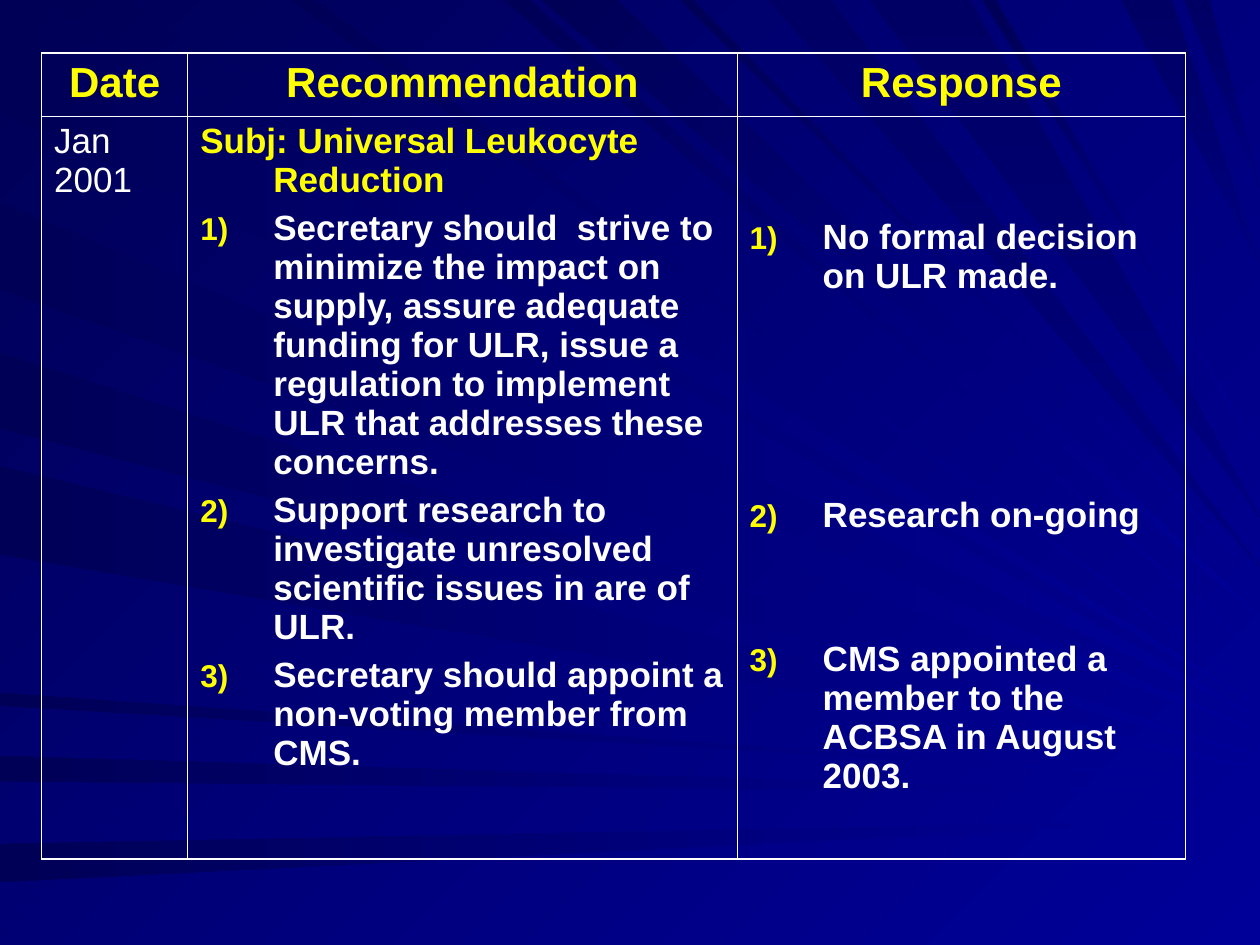
from lxml import etree
from pptx import Presentation
from pptx.dml.color import RGBColor
from pptx.enum.text import PP_ALIGN
from pptx.oxml.ns import qn
from pptx.util import Inches, Pt

CENTER, LEFT = PP_ALIGN.CENTER, PP_ALIGN.LEFT
HEX = {"deep": "000057", "navy": "000064", "mid": "000080", "blue": "000099",
       "gold": "FFFF00", "white": "FFFFFF"}
FONT = "Arial"
WIDE, HIGH = 10, 7.5

# Table content: heads, then the body cells
HEADS = ["Date", "Recommendation", "Response"]
DATE = "Jan  2001"
SUBJ = "Subj: Universal Leukocyte Reduction"
ADVICE = [
    "Secretary should  strive to minimize the impact on supply, assure adequate "
    "funding for ULR, issue a regulation to implement ULR that addresses these concerns.",
    "Support research to investigate unresolved scientific issues in are of ULR.",
    "Secretary should appoint a non-voting member from CMS.",
]
REPLIES = [
    "No formal decision on ULR made.",
    "Research on-going",
    "CMS appointed a member to the ACBSA in August 2003.",
]
GAPS = [0, 114, 60]  # points above each reply, to sit beside its advice
COLS, ROWS = [1.16, 4.36, 3.56], [0.5, 5.9]
THICK, THIN = 1.08, 0.45

# Rays: start and end on the left or top edge, then the tip on the right edge
LEFT_RAYS = [(0, 0.9, 5.7), (6, 6.2, 6.3), (6.7, 7, 6.5), (1.6, 2.3, 5.8),
             (2.8, 3.4, 6), (3.7, 4.4, 6.1), (5.5, 5.6, 6.2)]
TOP_RAYS = [(0.3, 1, 5.6), (4, 4.2, 5.2), (4.3, 4.9, 4.9), (5.4, 5.5, 4.6),
            (2.3, 2.5, 5.5), (7.8, 7.9, 3.6)]
STEEP_RAYS = [(6.1, 6.6, 4.5), (8.9, 9.3, 2.1), (9.4, 9.6, 1.5), (6.9, 7.7, 4.1)]
# Each fan: rays, on the top edge, first colour, last colour, clockwise angle
FANS = [
    (LEFT_RAYS, False, "blue", "deep", 180),
    (TOP_RAYS, True, "blue", "deep", 225),
    (STEEP_RAYS, True, "navy", "mid", 90),
]


def shade(fill, first, last, angle):
    fill.gradient()
    fill.gradient_angle = 360 - angle
    for stop, tint in zip(fill.gradient_stops, (first, last)):
        stop.color.rgb = RGBColor.from_string(HEX[tint])


def draw_ray(slide, start, end, tip, top, *tone):
    base = [(start, 0), (end, 0)] if top else [(0, start), (0, end)]
    pts = [(Inches(x), Inches(y)) for x, y in base + [(WIDE, tip)]]
    path = slide.shapes.build_freeform(*pts[0])
    path.add_line_segments(pts[1:], close=True)
    ray = path.convert_to_shape()
    ray.shadow.inherit = False
    ray.line.fill.background()
    shade(ray.fill, *tone)


def style(para, size, tint, bold, align=LEFT, gap=0):
    para.alignment = align
    para.space_before = Pt(gap)
    for run in para.runs:
        font = run.font
        font.name, font.size, font.bold = FONT, Pt(size), bold
        font.color.rgb = RGBColor.from_string(HEX[tint])


def hang(para, number=False):
    props = para._p.get_or_add_pPr()
    props.set("marL", str(Inches(0.58)))
    props.set("indent", str(-Inches(0.58)))
    if number:
        tint = etree.SubElement(props, qn("a:buClr"))
        etree.SubElement(tint, qn("a:srgbClr"), val=HEX["gold"])
        etree.SubElement(props, qn("a:buSzPct"), val="90000")
        etree.SubElement(props, qn("a:buAutoNum"), type="arabicParenR")


def border(cell, row, col):
    outer = {"L": col == 0, "R": col == len(COLS) - 1,
             "T": row == 0, "B": row == len(ROWS) - 1}
    props = cell._tc.get_or_add_tcPr()
    for i, (side, edge) in enumerate(outer.items()):
        line = etree.Element(qn("a:ln" + side), w=str(Pt(THICK if edge else THIN)))
        fill = etree.SubElement(line, qn("a:solidFill"))
        etree.SubElement(fill, qn("a:srgbClr"), val=HEX["white"])
        props.insert(i, line)


def build_table(slide):
    frame = slide.shapes.add_table(len(ROWS), len(COLS), Inches(0.33), Inches(0.42),
                                   Inches(sum(COLS)), Inches(sum(ROWS)))
    table = frame.table
    table.first_row = table.horz_banding = False
    for col, width in zip(table.columns, COLS):
        col.width = Inches(width)
    for row, height in zip(table.rows, ROWS):
        row.height = Inches(height)

    texts = [HEADS, [DATE, "\n".join([SUBJ] + ADVICE), "\n".join(REPLIES)]]
    for r, line in enumerate(texts):
        for c, text in enumerate(line):
            cell = table.cell(r, c)
            cell.text_frame.text = text
            cell.fill.background()
            border(cell, r, c)

    # Head row
    for c in range(len(HEADS)):
        style(table.cell(0, c).text_frame.paragraphs[0], 24, "gold", True, CENTER)

    # Body row
    date, advice, reply = [table.cell(1, c) for c in range(len(COLS))]
    style(date.text_frame.paragraphs[0], 20, "white", False)
    subj, *items = advice.text_frame.paragraphs
    hang(subj)
    style(subj, 20, "gold", True)
    reply.margin_top = Inches(0.81)
    pairs = [(item, 5) for item in items] + list(zip(reply.text_frame.paragraphs, GAPS))
    for item, gap in pairs:
        hang(item, number=True)
        style(item, 20, "white", True, gap=gap)


def main():
    deck = Presentation()
    deck.slide_width, deck.slide_height = Inches(WIDE), Inches(HIGH)
    slide = deck.slides.add_slide(deck.slide_layouts[6])
    shade(slide.background.fill, "blue", "deep", 225)
    for rays, *look in FANS:
        for ray in rays:
            draw_ray(slide, *ray, *look)
    build_table(slide)
    deck.save("out.pptx")


if __name__ == "__main__":
    main()
